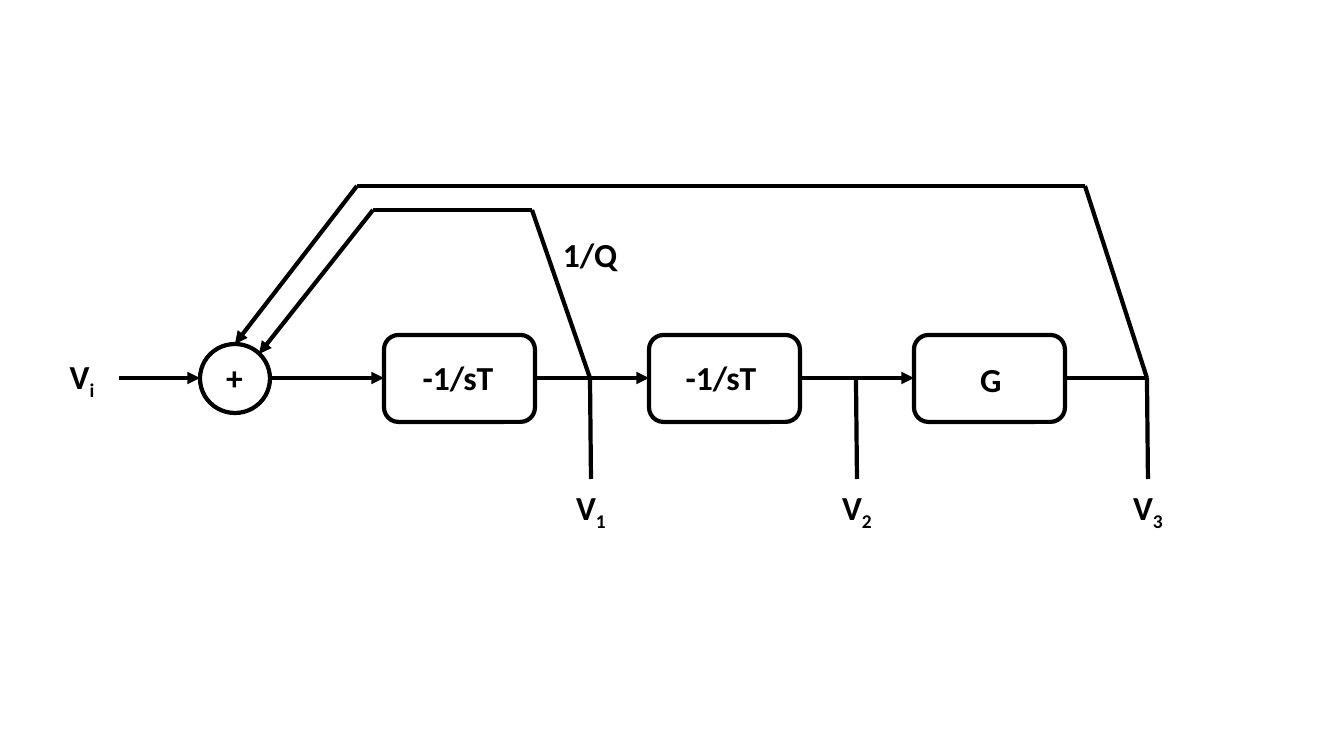
from itertools import pairwise

from lxml.etree import SubElement
from pptx import Presentation
from pptx.dml.color import RGBColor
from pptx.enum.shapes import MSO_CONNECTOR as Connector, MSO_SHAPE as Shape
from pptx.enum.text import MSO_AUTO_SIZE as AutoSize, PP_ALIGN as Align
from pptx.oxml.ns import qn
from pptx.util import Emu, Pt

EMU_PER_PIXEL = 914400 / 100.8


def px(length):
    return Emu(round(length * EMU_PER_PIXEL))


def color(hex_code):
    return RGBColor.from_string(hex_code)


class Diagram:
    """Draws block diagram elements on one slide in one style."""

    font, size, weight = "Calibri", 24, 3
    ink, paper = "000000", "FFFFFF"

    def __init__(self, page):
        self.page = page

    def outline(self, item):
        item.line.color.rgb = color(self.ink)
        item.line.width = Pt(self.weight)

    def block(self, kind, left, top, width, height):
        box = self.page.shapes.add_shape(kind, px(left), px(top), px(width), px(height))
        box.shadow.inherit = False
        box.fill.solid()
        box.fill.fore_color.rgb = color(self.paper)
        self.outline(box)

    def wire(self, *points, arrow=False):
        for start, end in pairwise(points):
            line = self.page.shapes.add_connector(
                Connector.STRAIGHT, *map(px, (*start, *end)))
            self.outline(line)
            properties = line._element.spPr
            if arrow and end == points[-1]:
                SubElement(properties.find(qn("a:ln")), qn("a:tailEnd"), type="triangle")
            SubElement(properties, qn("a:effectLst"))

    def label(self, text, left, top, width, subscript=""):
        box = self.page.shapes.add_textbox(px(left), px(top), px(width), px(50))
        frame = box.text_frame
        frame.word_wrap = False
        frame.auto_size = AutoSize.SHAPE_TO_FIT_TEXT
        para = frame.paragraphs[0]
        para.text = text
        para.alignment = Align.CENTER
        if subscript:
            span = para.add_run()
            span.text = subscript
            span._r.get_or_add_rPr().set("baseline", "-25000")
        for span in para.runs:
            span.font.name = self.font
            span.font.size = Pt(self.size)
            span.font.bold = True
            span.font.color.rgb = color(self.ink)


deck = Presentation()
deck.slide_width, deck.slide_height = px(1344), px(756)
diagram = Diagram(deck.slides.add_slide(deck.slide_layouts[6]))

AXIS = 378
BLOCK_WIDTH = 151
BLOCK_LEFTS = [384 + 265 * index for index in range(3)]
TAPS = [590, 856, 1147]

for left in BLOCK_LEFTS:
    diagram.block(Shape.ROUNDED_RECTANGLE, left, 335, BLOCK_WIDTH, 87)
diagram.block(Shape.OVAL, 200, 344, 70, 69)

sources = [119, 270] + [left + BLOCK_WIDTH for left in BLOCK_LEFTS]
targets = [200] + BLOCK_LEFTS + [TAPS[-1]]
for start, end in zip(sources, targets):
    diagram.wire((start, AXIS), (end, AXIS), arrow=end != TAPS[-1])
for tap in TAPS:
    diagram.wire((tap, AXIS), (tap + 1, 479))

diagram.wire((TAPS[0], AXIS), (532, 210), (373, 210), (259, 354), arrow=True)
diagram.wire((TAPS[2], AXIS), (1085, 186), (357, 186), (235, 344), arrow=True)

diagram.label("+", 216, 352, 37)
for text, left, top, width in [("-1/sT", 412, 352, 92), ("-1/sT", 675, 352, 92),
                               ("G", 970, 354, 42), ("1/Q", 552, 229, 76)]:
    diagram.label(text, left, top, width)
diagram.label("V", 59, 351, 46, "i")
for number, tap in enumerate(TAPS, 1):
    diagram.label("V", tap - 25, 482, 52, str(number))

deck.save("out.pptx")
